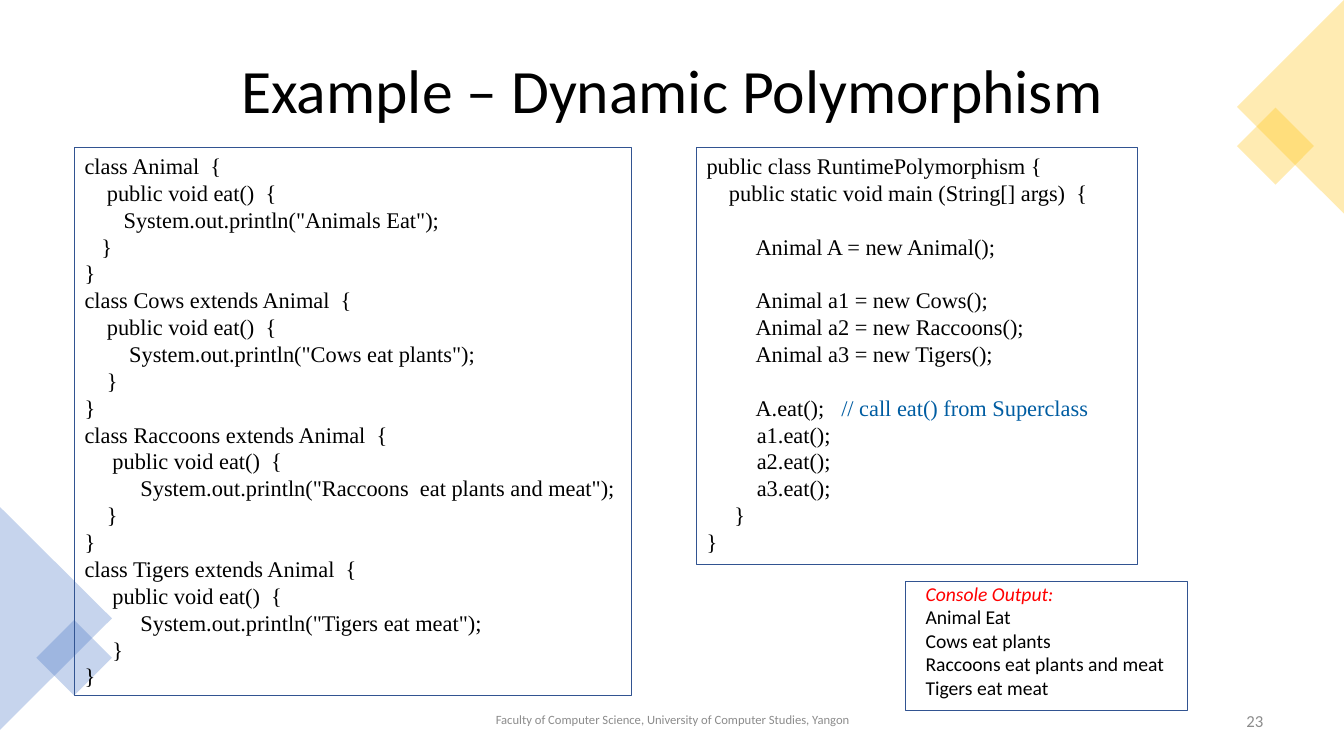
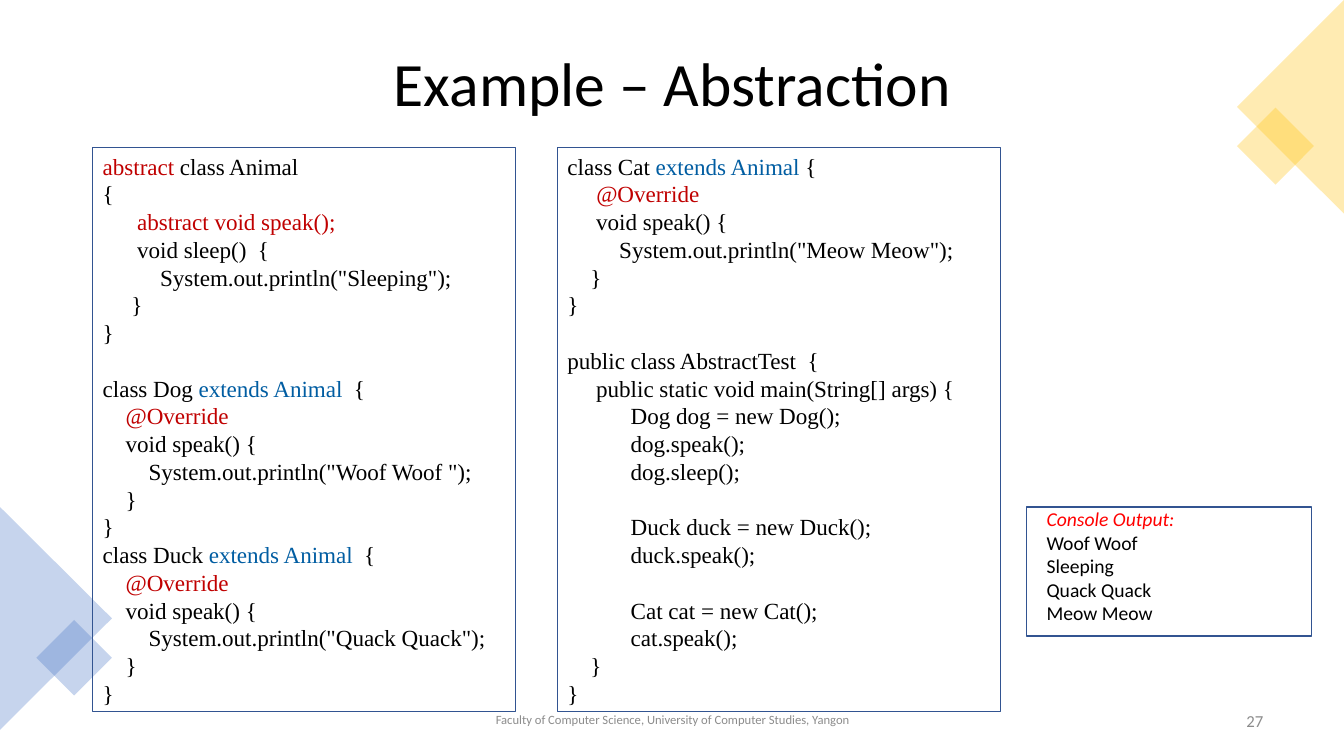
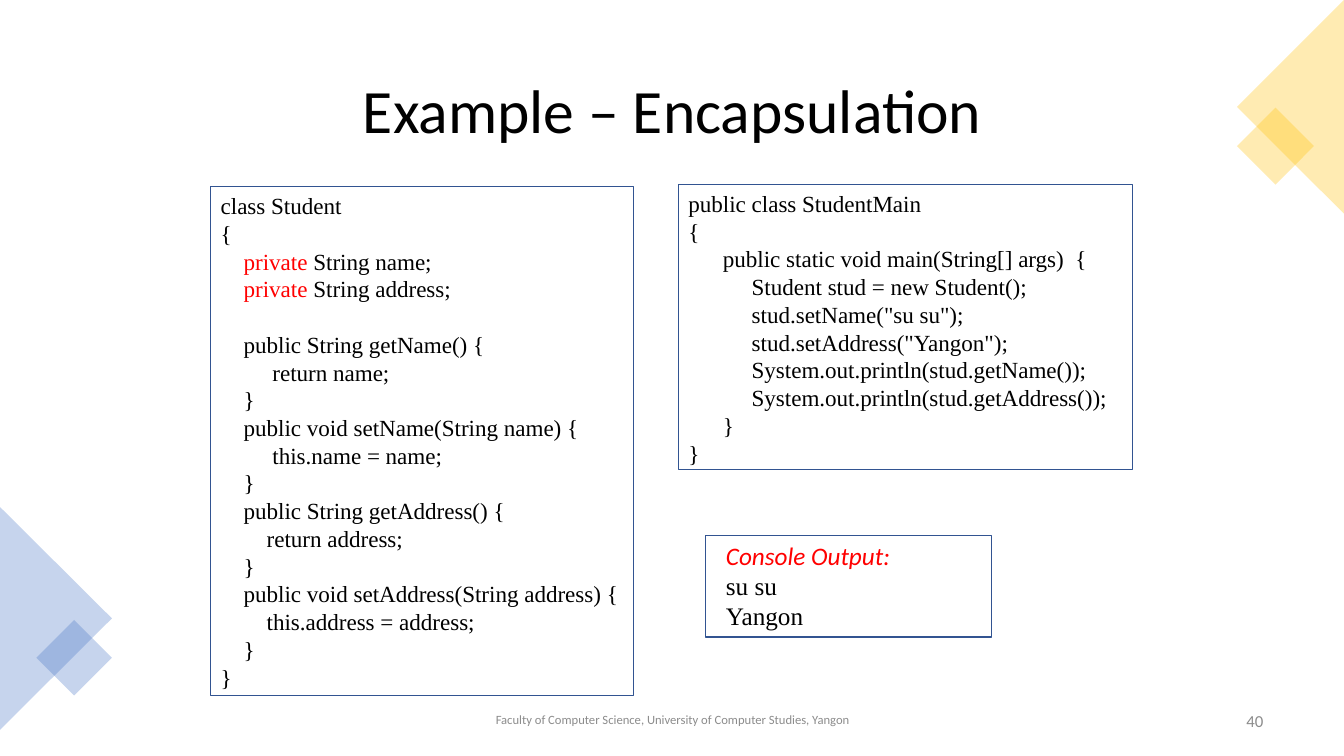
from lxml.etree import SubElement
from pptx import Presentation
from pptx.dml.color import RGBColor
from pptx.enum.shapes import MSO_SHAPE as Shape
from pptx.enum.text import MSO_ANCHOR as Anchor, PP_ALIGN as Align
from pptx.oxml.ns import qn
from pptx.util import Inches, Pt

BLACK = RGBColor(0x00, 0x00, 0x00)
GREY = RGBColor(0x8C, 0x8C, 0x8C)
RED = RGBColor(0xFF, 0x00, 0x00)
DARK_RED = RGBColor(0xC0, 0x00, 0x00)
LINK_BLUE = RGBColor(0x00, 0x5D, 0xA2)
BORDER_BLUE = RGBColor(0x32, 0x54, 0x91)
BLUE = RGBColor(0x44, 0x72, 0xC4)
GOLD = RGBColor(0xFF, 0xC0, 0x00)
SANS = "Calibri"
SERIF = "Times New Roman"

DECORATIONS = [
    (Shape.ISOSCELES_TRIANGLE, (-0.55, 5.58, 2.21, 1.11), 90, BLUE),
    (Shape.RECTANGLE, (0.47, 6.26, 0.53, 0.53), 45, BLUE),
    (Shape.RECTANGLE, (12.38, 1.18, 0.54, 0.54), 45, GOLD),
    (Shape.ISOSCELES_TRIANGLE, (11.74, 0.53, 2.12, 1.06), 270, GOLD),
]
FOOTER = "Faculty of Computer Science, University of Computer Studies, Yangon"

CODE_INSETS = (0.1, 0.05, 0.1, 0)
OUTPUT_INSETS = (0.2, 0, 0.1, 0.1)
OUTPUT_ACCENTS = {"Console Output:": {"color": RED, "italic": True, "font": SANS}}
ABSTRACTION_ACCENTS = {
    "abstract void speak();": {"color": DARK_RED},
    "abstract": {"color": DARK_RED},
    "@Override": {"color": DARK_RED},
    "extends Animal": {"color": LINK_BLUE},
}

ANIMAL_CLASSES = """\
class Animal  {
    public void eat()  {
       System.out.println("Animals Eat");
   }
}
class Cows extends Animal  {
    public void eat()  {
        System.out.println("Cows eat plants");
    }
}
class Raccoons extends Animal  {
     public void eat()  {
          System.out.println("Raccoons  eat plants and meat");
    }
}
class Tigers extends Animal  {
     public void eat()  {
          System.out.println("Tigers eat meat");
     }
}"""

POLYMORPHISM_MAIN = """\
public class RuntimePolymorphism {
    public static void main (String[] args)  {

         Animal A = new Animal();

         Animal a1 = new Cows();
         Animal a2 = new Raccoons();
         Animal a3 = new Tigers();

         A.eat();   // call eat() from Superclass
         a1.eat();
         a2.eat();
         a3.eat();
     }
}"""

POLYMORPHISM_OUTPUT = """\
Console Output:
Animal Eat
Cows eat plants
Raccoons eat plants and meat
Tigers eat meat"""

ABSTRACT_CLASSES = """\
abstract class Animal
{
      abstract void speak();
      void sleep()  {
          System.out.println("Sleeping");
     }
}

class Dog extends Animal  {
    @Override
    void speak() {
        System.out.println("Woof Woof ");
    }
}
class Duck extends Animal  {
    @Override
    void speak() {
        System.out.println("Quack Quack");
    }
}"""

ABSTRACT_MAIN = """\
class Cat extends Animal {
     @Override
     void speak() {
         System.out.println("Meow Meow");
    }
}

public class AbstractTest  {
     public static void main(String[] args) {
           Dog dog = new Dog();
           dog.speak();
           dog.sleep();

           Duck duck = new Duck();
           duck.speak();

           Cat cat = new Cat();
           cat.speak();
    }
}"""

ABSTRACT_OUTPUT = """\
Console Output:
Woof Woof
Sleeping
Quack Quack
Meow Meow"""

STUDENT_CLASS = """\
class Student
{
    private String name;
    private String address;

    public String getName() {
         return name;
    }
    public void setName(String name) {
         this.name = name;
    }
    public String getAddress() {
        return address;
    }
    public void setAddress(String address) {
        this.address = address;
    }
}"""

STUDENT_MAIN = """\
public class StudentMain
{
      public static void main(String[] args)  {
           Student stud = new Student();
           stud.setName("su su");
           stud.setAddress("Yangon");
           System.out.println(stud.getName());
           System.out.println(stud.getAddress());
      }
}"""

STUDENT_OUTPUT = """\
Console Output:
su su
Yangon"""

SLIDES = [
    ("Example – Dynamic Polymorphism", 1.05, "23", [
        (ANIMAL_CLASSES, (0.74, 1.46, 5.52, 5.44),
         {"size": 16, "insets": CODE_INSETS}),
        (POLYMORPHISM_MAIN, (6.91, 1.46, 4.37, 4.14),
         {"size": 16, "accents": {"// call eat() from Superclass": {"color": LINK_BLUE}}}),
        (POLYMORPHISM_OUTPUT, (8.98, 5.77, 2.8, 1.28),
         {"size": 14, "font": SANS, "insets": OUTPUT_INSETS, "accents": OUTPUT_ACCENTS}),
    ]),
    ("Example – Abstraction", 0.91, "27", [
        (ABSTRACT_CLASSES, (0.92, 1.46, 4.19, 5.6),
         {"size": 16.5, "insets": CODE_INSETS, "accents": ABSTRACTION_ACCENTS}),
        (ABSTRACT_MAIN, (5.53, 1.46, 4.39, 5.6),
         {"size": 16.5, "insets": CODE_INSETS, "accents": ABSTRACTION_ACCENTS}),
        (ABSTRACT_OUTPUT, (10.18, 5.03, 2.83, 1.28),
         {"size": 14, "font": SANS, "insets": OUTPUT_INSETS, "accents": OUTPUT_ACCENTS}),
    ]),
    ("Example – Encapsulation", 1.45, "40", [
        (STUDENT_CLASS, (2.09, 1.85, 4.19, 5.05),
         {"size": 16.5, "insets": CODE_INSETS, "accents": {"private": {"color": RED}}}),
        (STUDENT_MAIN, (6.73, 1.83, 4.5, 2.83),
         {"size": 16.5, "insets": CODE_INSETS}),
        (STUDENT_OUTPUT, (7, 5.31, 2.83, 1.01),
         {"size": 18, "insets": (0.2, 0.05, 0.1, 0.05), "accents": OUTPUT_ACCENTS}),
    ]),
]


def write(shape, text, size=16, font=SERIF, color=BLACK, align=Align.LEFT, anchor=Anchor.TOP,
          insets=(0.1, 0.05, 0.1, 0.05), spacing=None, after=0, accents=None):
    frame = shape.text_frame
    frame.word_wrap = True
    frame.vertical_anchor = anchor
    frame.margin_left, frame.margin_top, frame.margin_right, frame.margin_bottom = map(Inches, insets)
    line_height = Pt(size * 1.2)
    paragraph, blank_lines = None, 0
    for line in text.splitlines():
        if not line:
            blank_lines += 1
            continue
        paragraph = frame.add_paragraph() if paragraph else frame.paragraphs[0]
        paragraph.alignment = align
        paragraph.line_spacing = spacing or line_height
        paragraph.space_after = Pt(after)
        if blank_lines:
            paragraph.space_before = line_height * blank_lines
        blank_lines = 0
        phrase = next((key for key in accents or {} if key in line), None)
        pieces = line.partition(phrase) if phrase else (line,)
        for piece in filter(None, pieces):
            style = accents[phrase] if piece == phrase else {}
            run = paragraph.add_run()
            run.text = piece
            run.font.size = Pt(size)
            run.font.name = style.get("font", font)
            run.font.italic = style.get("italic", False)
            run.font.color.rgb = style.get("color", color)


presentation = Presentation()
presentation.slide_width = Inches(13.33)
presentation.slide_height = Inches(7.5)

for title, title_height, number, boxes in SLIDES:
    slide = presentation.slides.add_slide(presentation.slide_layouts[6])

    for kind, place, rotation, color in DECORATIONS:
        shape = slide.shapes.add_shape(kind, *map(Inches, place))
        shape.shadow.inherit = False
        shape.rotation = rotation
        shape.line.fill.background()
        shape.fill.solid()
        shape.fill.fore_color.rgb = color
        fill_color = shape.fill._xPr.find(qn("a:solidFill"))[0]
        SubElement(fill_color, qn("a:alpha"), val="30000")

    footer_box = slide.shapes.add_textbox(*map(Inches, (4.42, 6.95, 4.5, 0.4)))
    write(footer_box, FOOTER, size=9, font=SANS, color=GREY, align=Align.CENTER,
          anchor=Anchor.MIDDLE, spacing=0.9, after=6)
    number_box = slide.shapes.add_textbox(*map(Inches, (9.63, 6.95, 3, 0.4)))
    write(number_box, number, size=12, font=SANS, color=GREY, align=Align.RIGHT,
          anchor=Anchor.MIDDLE, spacing=1.0, after=6)
    title_box = slide.shapes.add_textbox(*map(Inches, (0.92, 0.4, 11.5, title_height)))
    write(title_box, title, size=44, font=SANS, align=Align.CENTER,
          anchor=Anchor.MIDDLE, spacing=0.9)

    for text, place, style in boxes:
        shape = slide.shapes.add_shape(Shape.RECTANGLE, *map(Inches, place))
        shape.shadow.inherit = False
        shape.fill.background()
        shape.line.color.rgb = BORDER_BLUE
        shape.line.width = Pt(0.75)
        write(shape, text, **style)

presentation.save("out.pptx")
